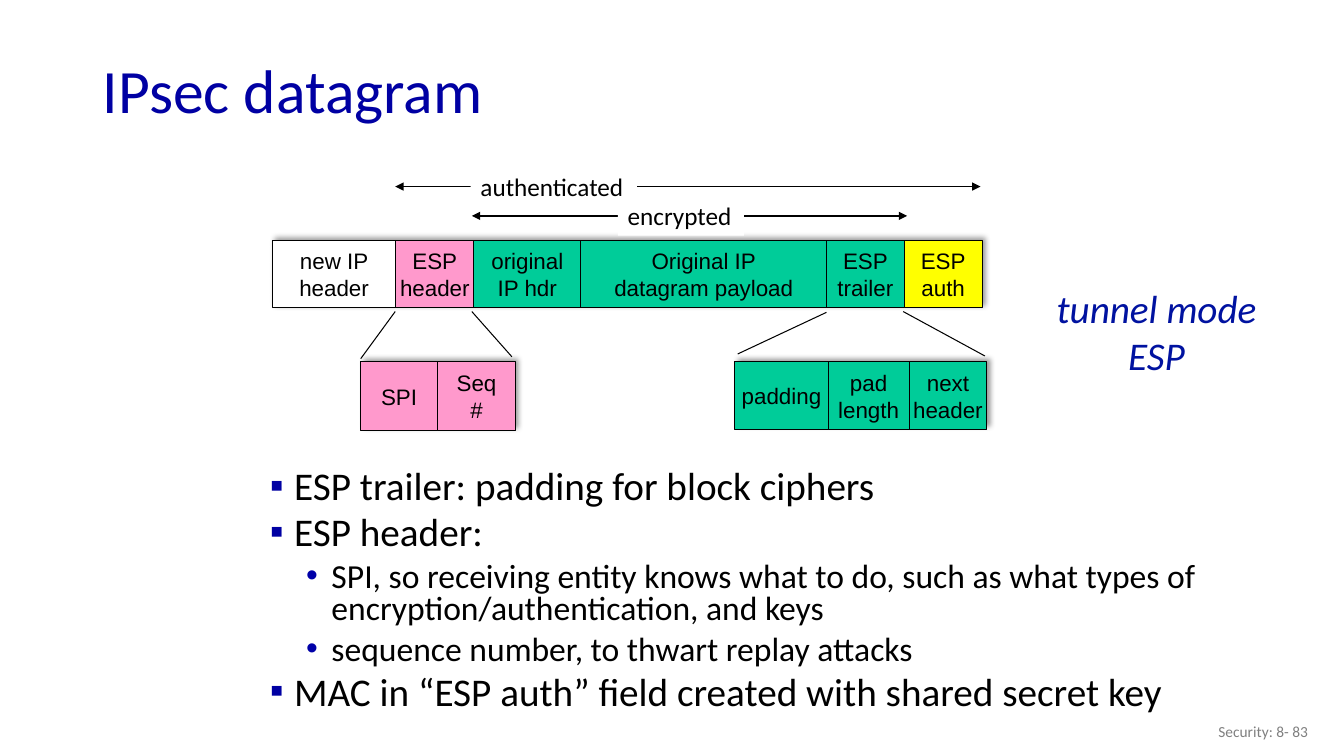
import pptx
import pptx.util
import pptx.dml.color
import pptx.enum.shapes
import pptx.enum.text
from lxml import etree
from pptx.oxml.ns import qn

Cm, Pt = pptx.util.Cm, pptx.util.Pt
RGBColor = pptx.dml.color.RGBColor
ALIGN = pptx.enum.text.PP_ALIGN
ANCHOR = pptx.enum.text.MSO_ANCHOR

BLACK = RGBColor(0x00, 0x00, 0x00)
WHITE = RGBColor(0xFF, 0xFF, 0xFF)
PINK = RGBColor(0xFF, 0x99, 0xCC)
GREEN = RGBColor(0x00, 0xCC, 0x99)
YELLOW = RGBColor(0xFF, 0xFF, 0x00)
NAVY = RGBColor(0x00, 0x00, 0xA3)
BLUE = RGBColor(0x00, 0x12, 0xA0)
GRAY = RGBColor(0x80, 0x80, 0x80)

# Content: field rows as (left, top, height, fields), lengths in cm
TITLE = "IPsec datagram"
MODE = "tunnel mode\nESP"
FOOTER = "Security: 8- 83"
ROWS = [
    (6.86, 6.05, 1.7, [
        ("new IP\vheader", 3.12, None),
        ("ESP\nheader", 1.96, PINK),
        ("original\vIP hdr", 2.7, GREEN),
        ("Original IP\ndatagram payload", 6.19, GREEN),
        ("ESP\ntrailer", 1.96, GREEN),
        ("ESP\nauth", 1.96, YELLOW)]),
    (9.09, 9.12, 1.73, [("SPI", 1.94, PINK), ("Seq\n#", 1.96, PINK)]),
    (18.52, 9.12, 1.7, [
        ("padding", 2.35, GREEN),
        ("pad\vlength", 2.04, GREEN),
        ("next\vheader", 1.96, GREEN)]),
]
ZOOMS = [
    (18.59, 8.92, 20.83, 7.87),
    (24.82, 8.97, 22.76, 7.85),
    (9.09, 9.04, 9.96, 7.85),
    (11.89, 7.85, 12.9, 8.99),
]
# Spans: label, label left, label width, arrow start, arrow end, arrow height
SPANS = [
    ("encrypted", 15.57, 3.18, 11.89, 22.86, 5.44),
    ("authenticated", 11.86, 4.19, 9.96, 24.71, 4.7),
]
POINTS = [
    (0, "ESP trailer: padding for block ciphers"),
    (0, "ESP header:"),
    (1, "SPI, so receiving entity knows what to do, such as what types of "
        "encryption/authentication, and keys"),
    (1, "sequence number, to thwart replay attacks"),
    (0, "MAC in “ESP auth” field created with shared secret key"),
]
# Per level: bullet, text indent, hanging indent, size, bullet colour
LEVELS = [("▪", 0.99, -0.61, 28, "0000A3"), ("•", 1.93, -0.64, 24, "0000A8")]


def write(frame, text, size=16, font="Calibri", color=BLACK, align=ALIGN.LEFT,
          anchor=ANCHOR.TOP, wrap=True, italic=False, spacing=None):
    frame.word_wrap = wrap
    frame.auto_size = pptx.enum.text.MSO_AUTO_SIZE.NONE
    frame.vertical_anchor = anchor
    frame.text = text
    for para in frame.paragraphs:
        para.alignment = align
        para.line_spacing = spacing
        for run in para.runs:
            run.font.size = Pt(size)
            run.font.name = font
            run.font.italic = italic
            run.font.color.rgb = color


def place(shape, left, top, width, height):
    shape.left, shape.top = Cm(left), Cm(top)
    shape.width, shape.height = Cm(width), Cm(height)


def add_box(left, top, width, height, fill, edge=False):
    box = slide.shapes.add_shape(pptx.enum.shapes.MSO_SHAPE.RECTANGLE,
                                 Cm(left), Cm(top), Cm(width), Cm(height))
    box.shadow.inherit = False
    if fill is None:
        box.fill.background()
    else:
        box.fill.solid()
        box.fill.fore_color.rgb = fill
    if edge:
        box.line.color.rgb = BLACK
        box.line.width = Pt(0.75)
    else:
        box.line.fill.background()
    return box


def add_shade(box):
    effects = box.element.spPr.find(qn("a:effectLst"))
    shade = etree.SubElement(effects, qn("a:outerShdw"), blurRad=str(Pt(4)),
                             dist=str(Pt(3)), dir=str(315 * 60000), rotWithShape="0")
    tint = etree.SubElement(shade, qn("a:srgbClr"), val="000000")
    etree.SubElement(tint, qn("a:alpha"), val="40000")


def add_line(x1, y1, x2, y2, width=0.75, heads=False):
    line = slide.shapes.add_connector(pptx.enum.shapes.MSO_CONNECTOR.STRAIGHT,
                                      Cm(x1), Cm(y1), Cm(x2), Cm(y2))
    line.line.color.rgb = BLACK
    line.line.width = Pt(width)
    if heads:
        for end in ("a:headEnd", "a:tailEnd"):
            etree.SubElement(line.line._get_or_add_ln(), qn(end), type="triangle")
    etree.SubElement(line.element.spPr, qn("a:effectLst"))


def add_bullet(para, level):
    mark, indent, hang, size, tint = LEVELS[level]
    props = para._p.get_or_add_pPr()
    props.set("marL", str(Cm(indent)))
    props.set("indent", str(Cm(hang)))
    color = etree.SubElement(props, qn("a:buClr"))
    etree.SubElement(color, qn("a:srgbClr"), val=tint)
    etree.SubElement(props, qn("a:buFont"), typeface="Arial")
    etree.SubElement(props, qn("a:buChar"), char=mark)
    para.level = level
    for run in para.runs:
        run.font.size = Pt(size)


deck = pptx.Presentation()
deck.slide_width, deck.slide_height = Cm(33.87), Cm(19.05)
slide = deck.slides.add_slide(deck.slide_layouts[1])

# Title
title = slide.shapes.title
place(title, 2.34, 1.12, 29.21, 2.49)
write(title.text_frame, TITLE, size=44, color=NAVY, anchor=ANCHOR.MIDDLE, spacing=0.9)

# Field rows, each on a shaded base
for left, top, height, fields in ROWS:
    add_shade(add_box(left, top, sum(width for _, width, _ in fields), height, WHITE))
    for text, width, fill in fields:
        field = add_box(left, top, width, height, fill, edge=True)
        write(field.text_frame, text, font="Arial", align=ALIGN.CENTER,
              anchor=ANCHOR.MIDDLE, wrap=False)
        left += width

# Lines from fields to their details
for ends in ZOOMS:
    add_line(*ends)

# Span arrows with labels
for text, left, width, start, end, height in SPANS:
    add_line(start, height, end, height, width=1, heads=True)
    label = add_box(left, height - 0.52, width, 1.02, WHITE)
    write(label.text_frame, text, size=18, wrap=False)

# Bullet list
body = slide.placeholders[1]
place(body, 6.17, 11.73, 25.78, 6.58)
write(body.text_frame, "\n".join(text for _, text in POINTS), spacing=0.8)
for i, (para, (level, _)) in enumerate(zip(body.text_frame.paragraphs, POINTS)):
    add_bullet(para, level)
    para.space_before = Pt(6 if i else 0)

# Mode name and footer
mode = slide.shapes.add_textbox(Cm(26.34), Cm(7.04), Cm(5.61), Cm(2.64))
write(mode.text_frame, MODE, size=28, color=BLUE, align=ALIGN.CENTER,
      wrap=False, italic=True)
foot = slide.shapes.add_textbox(Cm(25.6), Cm(17.91), Cm(7.62), Cm(1.02))
write(foot.text_frame, FOOTER, size=11, color=GRAY, align=ALIGN.RIGHT,
      anchor=ANCHOR.MIDDLE)

deck.save("out.pptx")
